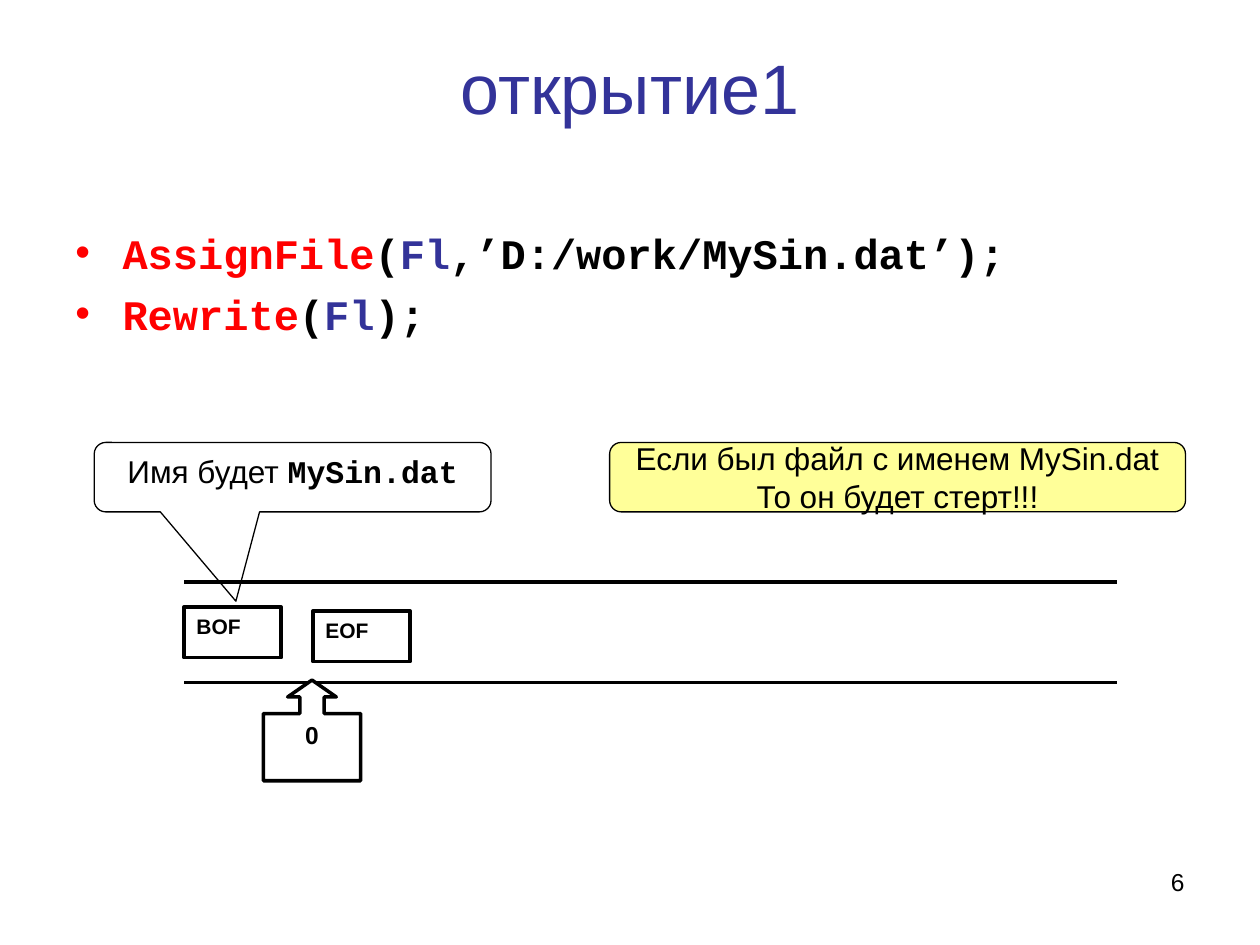
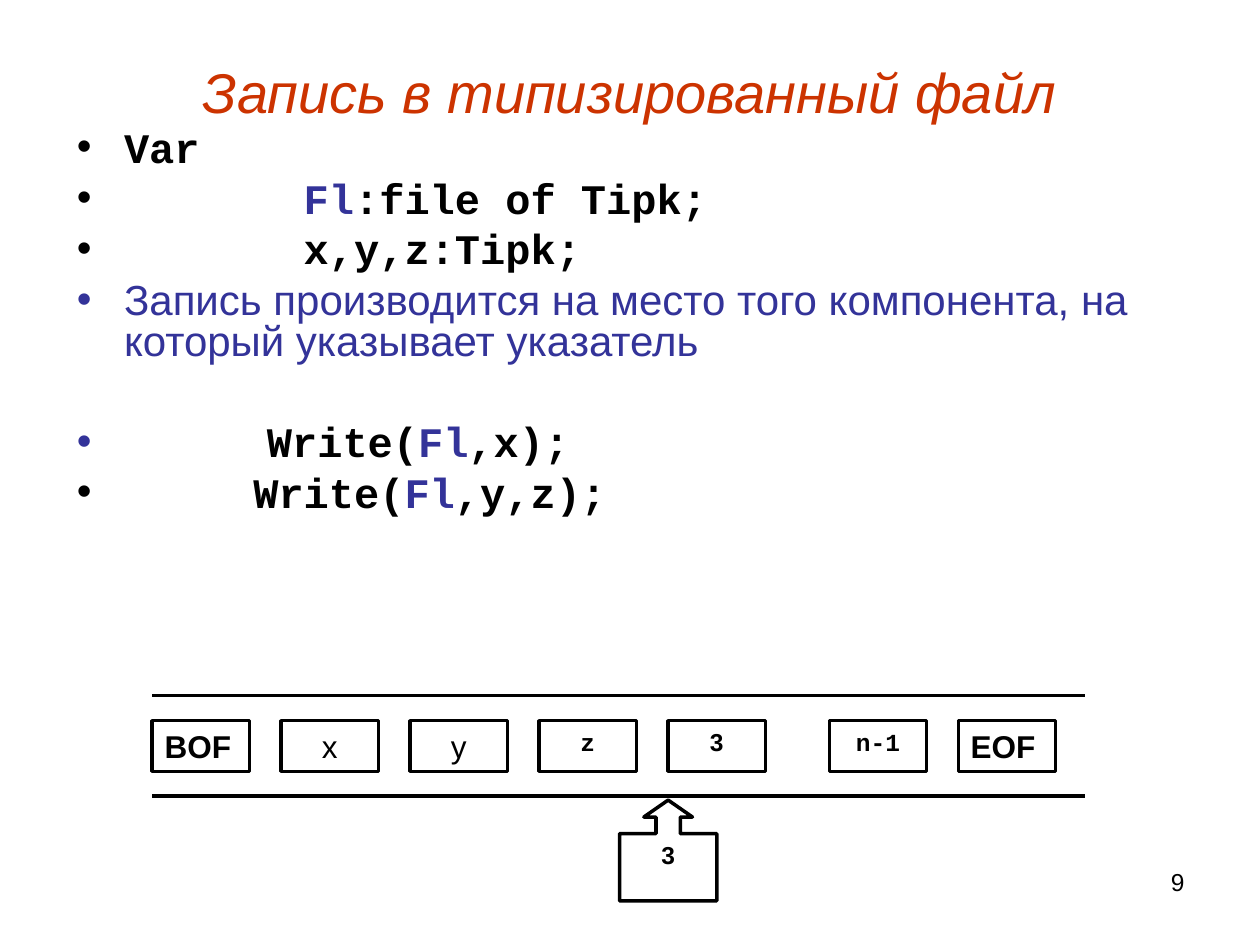
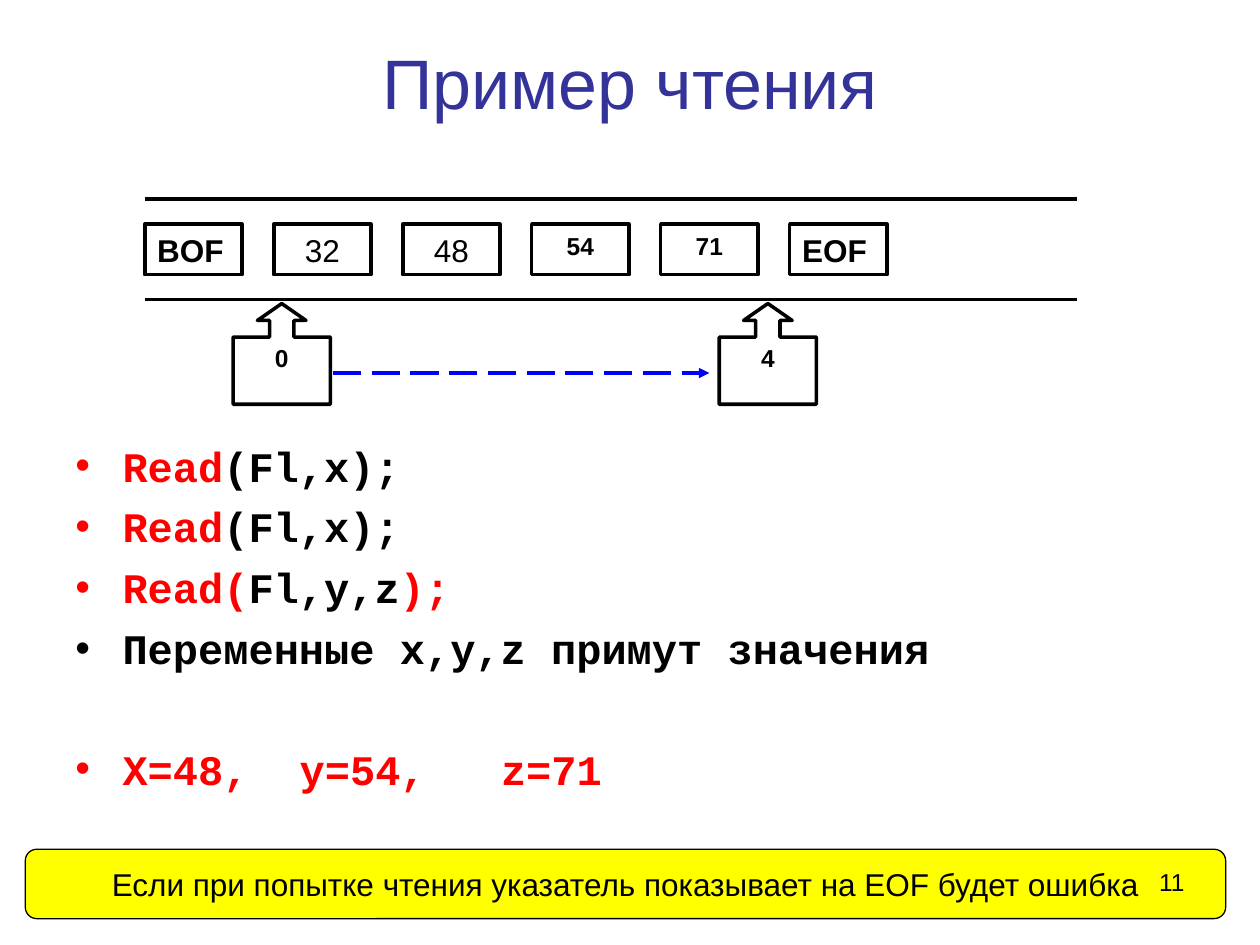
from lxml import etree
from pptx import Presentation
from pptx.dml.color import RGBColor
from pptx.enum.dml import MSO_LINE
from pptx.enum.shapes import MSO_CONNECTOR, MSO_SHAPE
from pptx.enum.text import MSO_ANCHOR, MSO_AUTO_SIZE, PP_ALIGN
from pptx.oxml.ns import qn
from pptx.util import Cm, Pt

LEFT, CENTER, RIGHT, JUSTIFY = PP_ALIGN.LEFT, PP_ALIGN.CENTER, PP_ALIGN.RIGHT, PP_ALIGN.JUSTIFY
TOP, MIDDLE = MSO_ANCHOR.TOP, MSO_ANCHOR.MIDDLE
LONG_DASH, STRAIGHT = MSO_LINE.LONG_DASH, MSO_CONNECTOR.STRAIGHT
RECT, POINTER = MSO_SHAPE.RECTANGLE, MSO_SHAPE.UP_ARROW_CALLOUT
BALLOON, NOTE = MSO_SHAPE.ROUNDED_RECTANGULAR_CALLOUT, MSO_SHAPE.FLOWCHART_ALTERNATE_PROCESS


class Theme:
    black, white, red = "000000", "FFFFFF", "FF0000"
    indigo, rust, blue = "333399", "CC3300", "0000FF"
    pale, yellow = "FFFF99", "FFFF00"
    sans, mono = "Arial", "Courier New"
    thick, thin = Pt(2), Pt(0.75)
    title, subtitle, body, label, small, tiny = (Pt(n) for n in (40, 32, 24, 18, 14, 12))


# Text styles: font attributes plus colour
def style(size, color=Theme.black, name=Theme.sans, bold=False, italic=False):
    return dict(size=size, color=color, name=name, bold=bold, italic=italic)


TITLE = style(Theme.title, Theme.indigo)
SUBTITLE = style(Theme.subtitle, Theme.rust, italic=True)
KEY, VAR, CODE = (style(Theme.body, c, Theme.mono, True)
                  for c in (Theme.red, Theme.indigo, Theme.black))
PROSE = style(Theme.body, Theme.indigo)
LABEL, MARK = style(Theme.label), style(Theme.label, bold=True)
NAME = style(Theme.label, name=Theme.mono, bold=True)
SMALL, NUMBER = style(Theme.small, bold=True), style(Theme.small)
SMALL_CODE = style(Theme.small, name=Theme.mono, bold=True)
TINY = style(Theme.tiny, bold=True)


def write(sp, lines, align=LEFT, anchor=TOP, wrap=True, bullets=False, spacing=None):
    """Fill a shape; each line is (runs, options), each run is (text, style)."""
    tf = sp.text_frame
    tf.word_wrap, tf.auto_size, tf.vertical_anchor = wrap, MSO_AUTO_SIZE.NONE, anchor
    tf.margin_left = tf.margin_right = Cm(0.25)
    tf.margin_top = tf.margin_bottom = Cm(0.13)
    for i, (runs, options) in enumerate(lines):
        p = tf.paragraphs[0] if i == 0 else tf.add_paragraph()
        if bullets:
            pPr = p._p.get_or_add_pPr()
            pPr.set("marL", str(Cm(0.95)))
            pPr.set("indent", str(Cm(-0.95)))
            color = options.get("bullet", runs[0][1]["color"])
            etree.SubElement(etree.SubElement(pPr, qn("a:buClr")), qn("a:srgbClr"), val=color)
            etree.SubElement(pPr, qn("a:buFont"), typeface=Theme.sans)
            etree.SubElement(pPr, qn("a:buChar"), char="•")
            if "tabs" in options:
                tabs = etree.SubElement(pPr, qn("a:tabLst"))
                for stop in options["tabs"]:
                    etree.SubElement(tabs, qn("a:tab"), pos=str(Cm(stop)), algn="l")
            p.space_before = Pt(options.get("before", 6) if i else 0)
            p.line_spacing = spacing
        p.alignment = align
        for text, look in runs:
            r = p.add_run()
            r.text = text
            for key, value in look.items():
                if key == "color":
                    r.font.color.rgb = RGBColor.from_string(value)
                else:
                    setattr(r.font, key, value)


# Slide content, lengths in cm
SLIDES = [
    dict(
        number="6", title=("открытие1", TITLE, 1.96), body=(1.27, 4.45, 2.87), spacing=1.0,
        lines=[
            ([("AssignFile", KEY), ("(", CODE), ("Fl", VAR),
              (",’D:/work/MySin.dat’);", CODE)], {}),
            ([("Rewrite", KEY), ("(", CODE), ("Fl", VAR), (");", CODE)], {}),
        ],
        tape=(3.71, 11.73),
        cells=[(0, 0, "BOF", TINY), (1, 0.08, "EOF", TINY)],
        pointers=[(1.6, 1.98, "0")],
        notes=[
            (BALLOON, (1.9, 8.92, 8, 1.4), None, TOP, True,
             [([("Имя будет ", LABEL), ("MySin.dat", NAME)], {})]),
            (NOTE, (12.29, 8.92, 11.61, 1.4), Theme.pale, MIDDLE, False,
             [([("Если был файл с именем MySin.dat", LABEL)], {}),
              ([("То он будет стерт!!!", LABEL)], {})]),
        ],
    ),
    dict(
        number="9", title=("Запись в типизированный файл", SUBTITLE, 2.16),
        body=(1.3, 2.51, 8.61), spacing=0.8,
        lines=[
            ([("Var", CODE)], {}),
            ([("\t    ", CODE), ("Fl", VAR), (":file of Tipk;", CODE)], dict(tabs=[2.54])),
            ([("\t    x,y,z:Tipk;", CODE)], dict(tabs=[2.54])),
            ([("Запись производится на место того компонента, "
               "на который указывает указатель", PROSE)], {}),
            ([("\tWrite(", CODE), ("Fl", VAR), (",x);", CODE)],
             dict(tabs=[3.83], before=35, bullet=Theme.indigo)),
            ([("\t  Write(", CODE), ("Fl", VAR), (",y,z);", CODE)], dict(tabs=[2.54])),
        ],
        tape=(3.07, 14.02),
        cells=[(0, 0, "BOF", MARK), (1, 0, "x", LABEL), (2, 0, "y", LABEL),
               (3, 0, "z", SMALL_CODE), (4, 0, "3", SMALL),
               (5.25, 0, "n-1", SMALL_CODE), (6.25, 0, "EOF", MARK)],
        pointers=[(9.42, 2.11, "3")],
        notes=[],
    ),
    dict(
        number="11", title=("Пример чтения", TITLE, 1.75), body=(1.27, 8.74, 7.8), spacing=1.0,
        lines=[
            ([("Read", KEY), ("(Fl,x);", CODE)], {}),
            ([("Read", KEY), ("(Fl,x);", CODE)], {}),
            ([("Read(", KEY), ("Fl,y,z", CODE), (");", KEY)], {}),
            ([("Переменные x,y,z примут значения", CODE)], {}),
            ([("X=48,\ty=54,\tz=71", KEY)], dict(tabs=[4.52, 8.58], before=40)),
        ],
        tape=(2.92, 4.01),
        cells=[(0, 0, "BOF", MARK), (1, 0, "32", LABEL), (2, 0, "48", LABEL),
               (3, 0, "54", SMALL), (4, 0, "71", SMALL), (5, 0, "EOF", MARK)],
        pointers=[(1.78, 2.11, "0"), (11.58, 2.11, "4")],
        notes=[
            (NOTE, (0.51, 17.12, 24.2, 1.4), Theme.yellow, MIDDLE, False,
             [([("Если при попытке чтения указатель показывает на EOF будет ошибка",
                 LABEL)], {})]),
        ],
        arrow=(6.71, 7.52, 14.3, 7.52),
    ),
]
CELL_W, CELL_H, CELL_STEP, CELL_DROP = 1.96, 1.02, 2.6, 0.51
RAIL_LENGTH, RAIL_GAP, POINTER_H = 18.8, 2.03, 2.03
ADJUST = {POINTER: (0.25, 0.25, 0.174, 0.667), BALLOON: (-0.143, 1.786, 0.167)}

prs = Presentation()
prs.slide_width, prs.slide_height = Cm(25.4), Cm(19.05)

for data in SLIDES:
    s = prs.slides.add_slide(prs.slide_layouts[1])

    # Title and list
    text, look, height = data["title"]
    sp = s.shapes.title
    sp.left, sp.top, sp.width, sp.height = Cm(1.27), Cm(0.76), Cm(22.86), Cm(height)
    write(sp, [([(text, look)], {})], CENTER, MIDDLE)
    left, top, height = data["body"]
    sp = s.placeholders[1]
    sp.left, sp.top, sp.width, sp.height = Cm(left), Cm(top), Cm(22.86), Cm(height)
    write(sp, data["lines"], bullets=True, spacing=data["spacing"])

    # Rails of the file tape and the dashed arrow
    x, y = data["tape"]
    lines = [(x, rail, x + RAIL_LENGTH, rail) for rail in (y, y + RAIL_GAP)]
    arrow = data.get("arrow")
    for ends in lines + ([arrow] if arrow else []):
        c = s.shapes.add_connector(STRAIGHT, *map(Cm, ends))
        c.line.width = Theme.thick
        c.line.color.rgb = RGBColor.from_string(Theme.blue if ends is arrow else Theme.black)
        if ends is arrow:
            c.line.dash_style = LONG_DASH
            etree.SubElement(c.line._get_or_add_ln(), qn("a:tailEnd"), type="triangle")
        etree.SubElement(c._element.spPr, qn("a:effectLst"))

    # Cells, pointers and notes: kind, box, fill, line, lines, text format
    shapes = []
    for slot, drop, text, look in data["cells"]:
        box = (x + slot * CELL_STEP, y + CELL_DROP + drop, CELL_W, CELL_H)
        align = JUSTIFY if text in ("BOF", "EOF") else CENTER
        shapes.append((RECT, box, Theme.white, Theme.thick, [([(text, look)], {})],
                       dict(align=align)))
    for dx, dy, text in data["pointers"]:
        shapes.append((POINTER, (x + dx, y + dy, CELL_W, POINTER_H), Theme.white, Theme.thick,
                       [([(text, SMALL)], {})], dict(align=CENTER)))
    for kind, box, fill, anchor, wrap, lines in data["notes"]:
        shapes.append((kind, box, fill, Theme.thin, lines,
                       dict(align=CENTER, anchor=anchor, wrap=wrap)))
    for kind, box, fill, width, lines, layout in shapes:
        sp = s.shapes.add_shape(kind, *map(Cm, box))
        sp.shadow.inherit = False
        for i, value in enumerate(ADJUST.get(kind, ())):
            sp.adjustments[i] = value
        if fill:
            sp.fill.solid()
            sp.fill.fore_color.rgb = RGBColor.from_string(fill)
        else:
            sp.fill.background()
        sp.line.width = width
        sp.line.color.rgb = RGBColor.from_string(Theme.black)
        write(sp, lines, **layout)

    # Slide number
    sp = s.shapes.add_textbox(Cm(18.2), Cm(17.35), Cm(5.93), Cm(1.32))
    write(sp, [([(data["number"], NUMBER)], {})], RIGHT)

prs.save("out.pptx")
